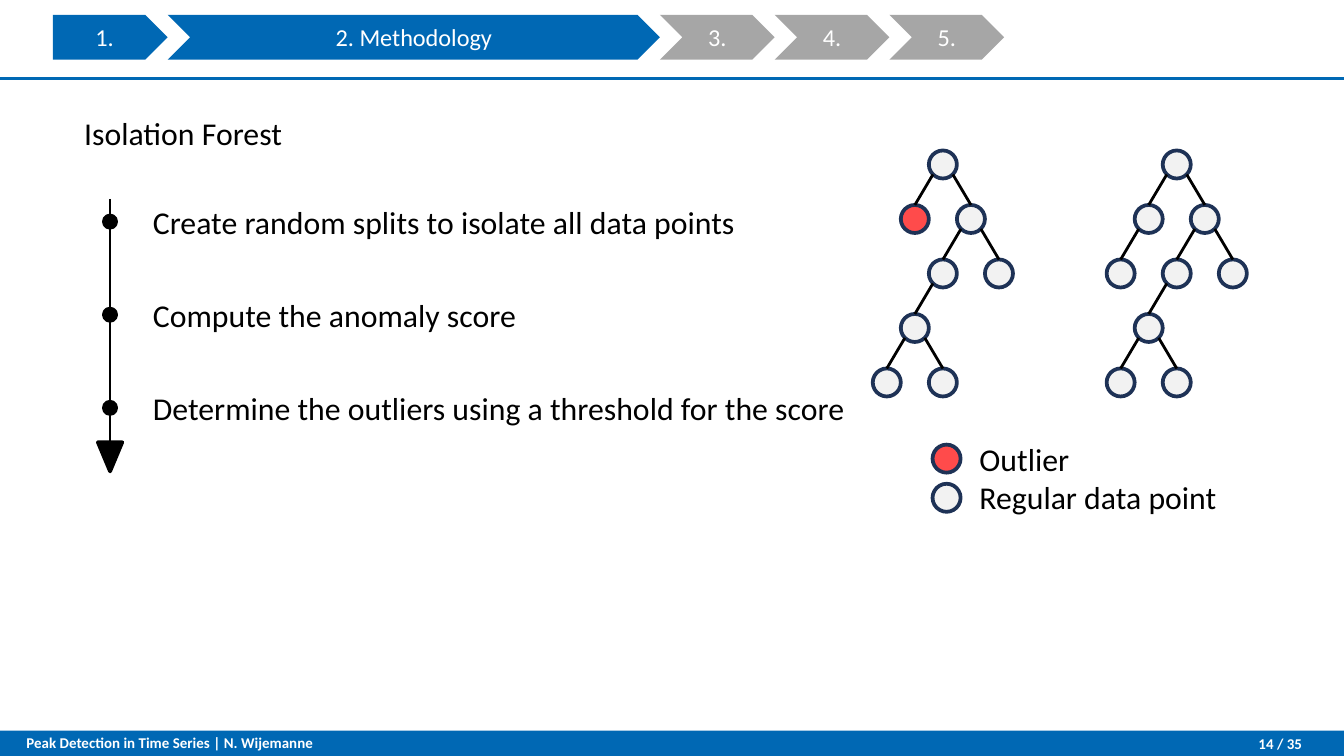
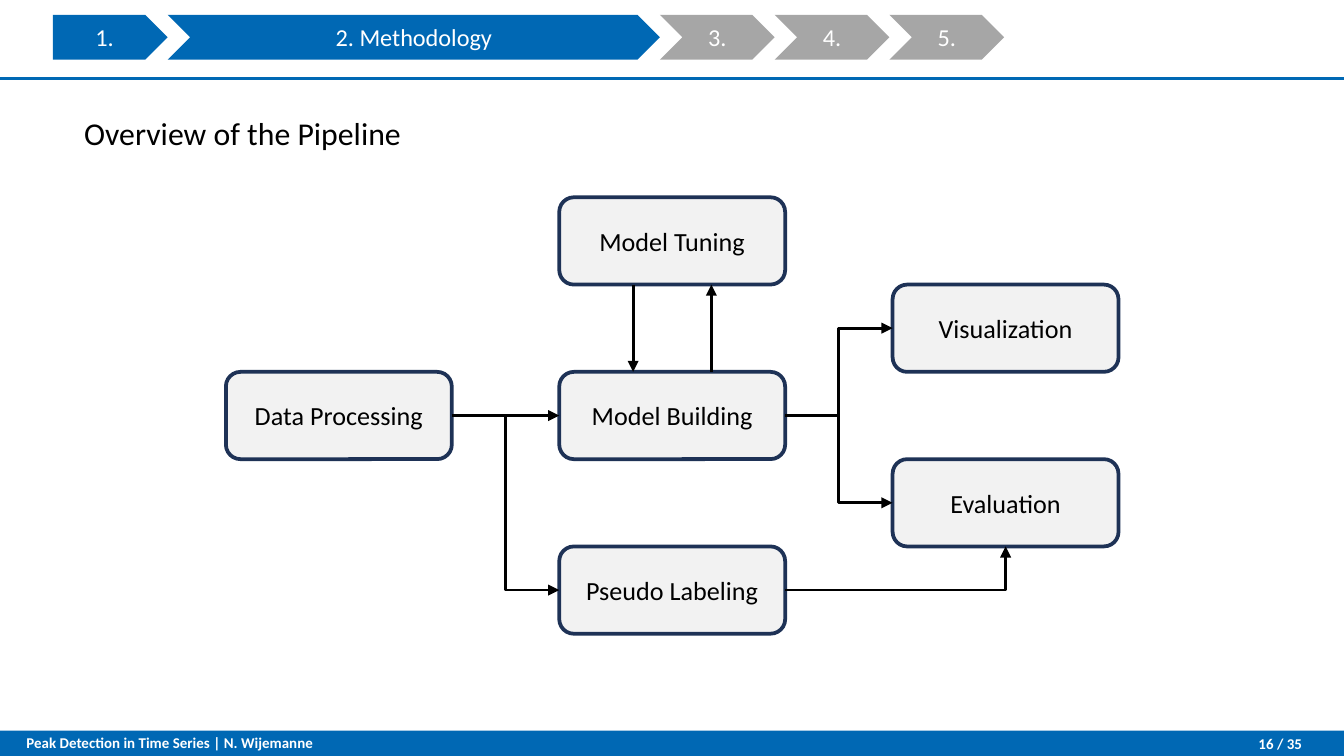
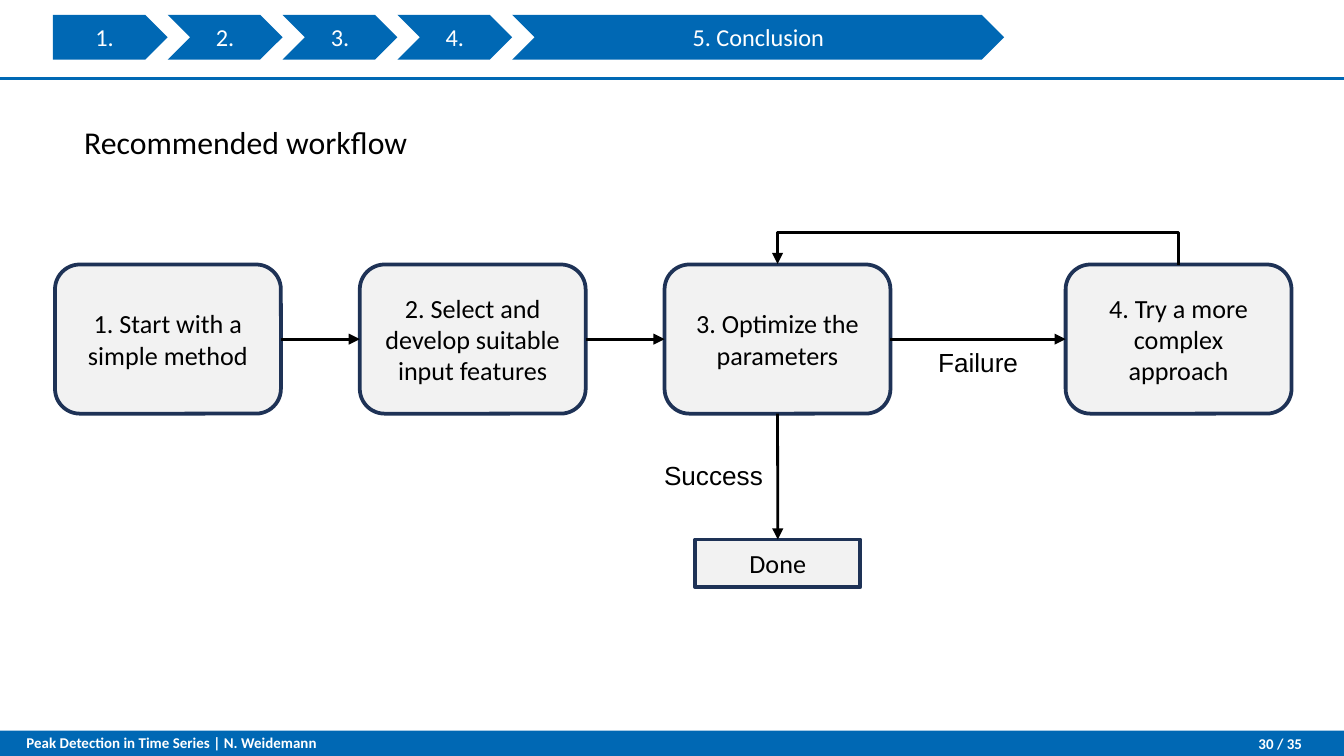
from dataclasses import dataclass

from lxml import etree
from pptx import Presentation
from pptx.dml.color import RGBColor
from pptx.enum.shapes import MSO_CONNECTOR, MSO_SHAPE
from pptx.enum.text import MSO_ANCHOR, MSO_AUTO_SIZE, PP_ALIGN
from pptx.oxml.ns import qn
from pptx.util import Cm, Pt

OVAL, RECTANGLE, ROUNDED = MSO_SHAPE.OVAL, MSO_SHAPE.RECTANGLE, MSO_SHAPE.ROUNDED_RECTANGLE
PENTAGON, CHEVRON = MSO_SHAPE.PENTAGON, MSO_SHAPE.CHEVRON
TRIANGLE = MSO_SHAPE.ISOSCELES_TRIANGLE
STRAIGHT, ELBOW = MSO_CONNECTOR.STRAIGHT, MSO_CONNECTOR.ELBOW
LEFT, CENTER, RIGHT = PP_ALIGN.LEFT, PP_ALIGN.CENTER, PP_ALIGN.RIGHT
TOP_ANCHOR, MIDDLE_ANCHOR = MSO_ANCHOR.TOP, MSO_ANCHOR.MIDDLE
TOP, WEST, BOTTOM, EAST = range(4)  # connection sites of a box


@dataclass(frozen=True)
class Theme:
    blue: str = "0068B4"
    grey: str = "A6A6A6"
    pale: str = "F2F2F2"
    navy: str = "1E3256"
    red: str = "FF4B4B"
    black: str = "000000"
    white: str = "FFFFFF"
    font: str = "Calibri"
    label_font: str = "Arial"
    body_size: float = 17
    box_size: float = 14
    step_size: float = 13
    footer_size: float = 8
    outline: float = 2
    rule: float = 1.5


THEME = Theme()
PAGE_WIDTH, PAGE_HEIGHT = 25.4, 14.29
SECTION_COUNT = 5

# Isolation forest
STEPS = [
    "Create random splits to isolate all data points",
    "Compute the anomaly score",
    "Determine the outliers using a threshold for the score",
]
LEGEND = [("Outlier", THEME.red), ("Regular data point", THEME.pale)]
# Children below the root: (index of parent, side); -1 is left, 1 is right
BRANCHES = [(0, -1), (0, 1), (2, -1), (2, 1), (3, -1), (5, 1), (5, -1)]
TREES = [  # centre of root, branches, indexes of outliers
    (17.82, BRANCHES, {1}),
    (22.24, BRANCHES + [(1, -1)], set()),
]
NODE_SIZE = 0.53

# Pipeline: column and row of each stage, then its links
STAGES = {
    "Data Processing": (0, 2),
    "Model Building": (1, 2),
    "Model Tuning": (1, 0),
    "Visualization": (2, 1),
    "Evaluation": (2, 3),
    "Pseudo Labeling": (1, 4),
}
STAGE_LINKS = [
    ("Data Processing", EAST, "Model Building", WEST, STRAIGHT),
    ("Model Building", EAST, "Visualization", WEST, ELBOW),
    ("Model Building", EAST, "Evaluation", WEST, ELBOW),
    ("Data Processing", EAST, "Pseudo Labeling", WEST, ELBOW),
]
BOX_WIDTH = 4.27

# Workflow: text of each step and the gap before it
WORKFLOW = [
    ("1. Start with a simple method", 0),
    ("2. Select and develop suitable input features", 1.49),
    ("3. Optimize the parameters", 1.49),
    ("4. Try a more complex approach", 3.31),
]
WORKFLOW_LABELS = [("Success", 12.3, 8.56), ("Failure", 17.48, 6.42)]


def color(value):
    return RGBColor.from_string(value)


def write(shape, text, size=THEME.body_size, ink=THEME.black, font=THEME.font, bold=False,
          align=LEFT, anchor=TOP_ANCHOR, spacing=None, insets=None):
    """Fill a shape with text, one paragraph a line; insets are left, top, right, bottom."""
    frame = shape.text_frame
    frame.text = text
    frame.word_wrap = True
    frame.auto_size = MSO_AUTO_SIZE.NONE
    frame.vertical_anchor = anchor
    if insets:
        (frame.margin_left, frame.margin_top,
         frame.margin_right, frame.margin_bottom) = map(Cm, insets)
    for para in frame.paragraphs:
        para.alignment = align
        if spacing:
            para.line_spacing = spacing
        for span in para.runs:
            span.font.name, span.font.size, span.font.bold = font, Pt(size), bold
            span.font.color.rgb = color(ink)


def add_text(page, text, left, top, width, height, **style):
    box = page.shapes.add_textbox(Cm(left), Cm(top), Cm(width), Cm(height))
    write(box, text, **style)


def add_shape(shapes, kind, left, top, width, height, fill, line=None):
    shape = shapes.add_shape(kind, Cm(left), Cm(top), Cm(width), Cm(height))
    shape.shadow.inherit = False
    shape.fill.solid()
    shape.fill.fore_color.rgb = color(fill)
    if line:
        shape.line.color.rgb = color(line)
        shape.line.width = Pt(THEME.outline)
    else:
        shape.line.fill.background()
    return shape


def add_dot(shapes, x, y, size, fill, line):
    return add_shape(shapes, OVAL, x - size / 2, y - size / 2, size, size, fill, line)


def add_box(page, text, left, top, width, height, kind=ROUNDED):
    box = add_shape(page.shapes, kind, left, top, width, height, THEME.pale, THEME.navy)
    write(box, text, size=THEME.box_size, align=CENTER, anchor=MIDDLE_ANCHOR)
    return box


def add_line(shapes, start, end, ink=THEME.black, arrow=False, kind=STRAIGHT):
    line = shapes.add_connector(kind, *map(Cm, start + end))
    line.line.color.rgb = color(ink)
    line.line.width = Pt(THEME.rule)
    properties = line.element.spPr
    if arrow:
        etree.SubElement(properties.find(qn("a:ln")), qn("a:tailEnd"), type="triangle")
    etree.SubElement(properties, qn("a:effectLst"))
    return line


def link(page, source, source_site, target, target_site, kind=STRAIGHT):
    """Glue an arrow to a site of each of two boxes."""
    arrow = add_line(page.shapes, (0, 0), (1, 1), arrow=True, kind=kind)
    arrow.begin_connect(source, source_site)
    arrow.end_connect(target, target_site)
    return arrow


def link_around_corner(page, source, target):
    """Leave a box to the right and enter another from below."""
    arrow = link(page, source, EAST, target, BOTTOM, ELBOW)
    arrow.element.spPr.find(qn("a:prstGeom")).set("prst", "bentConnector2")


def link_back(page, source, target, rise):
    """Loop from the top of a box back to the top of one on its left."""
    arrow = link(page, source, TOP, target, TOP, ELBOW)
    thickness, span = 0.02, arrow.begin_x - arrow.end_x
    middle, top = (arrow.begin_x + arrow.end_x) // 2, arrow.begin_y
    # The frame stands upright around its centre and is turned by 270 degrees
    arrow.left, arrow.top = middle - Cm(thickness) // 2, top - span // 2
    arrow.width, arrow.height = Cm(thickness), span
    frame = arrow.element.spPr.find(qn("a:xfrm"))
    frame.attrib.pop("flipH", None)
    frame.set("rot", str(270 * 60000))
    frame.set("flipV", "1")
    guides = arrow.element.spPr.find(qn("a:prstGeom")).find(qn("a:avLst"))
    etree.SubElement(guides, qn("a:gd"), name="adj1", fmla=f"val {round(rise / thickness * 100000)}")


def add_section_bar(page, current, title):
    bar = page.shapes.add_group_shape()
    left = 1.0
    for number in range(1, SECTION_COUNT + 1):
        active = number == current
        width = 9.3 if active else 2.17
        step = add_shape(bar.shapes, PENTAGON if number == 1 else CHEVRON, left, 0.28, width, 0.85,
                         THEME.blue if number <= current else THEME.grey)
        write(step, f"{number}. {title}" if active else f"{number}.", size=THEME.step_size,
              ink=THEME.white, align=CENTER, anchor=MIDDLE_ANCHOR)
        left += width


def add_page(deck, heading, section, number, author="N. Wijemanne", spacing=0.95):
    page = deck.slides.add_slide(deck.slide_layouts.get_by_name("Title Only"))
    title = page.shapes.title
    title.left, title.top, title.width, title.height = map(Cm, (1, 2.08, 23.4, 10.1))
    write(title, heading, spacing=spacing, insets=(0.59, 0.13, 0.25, 0.13))
    add_section_bar(page, *section)
    footer = {"size": THEME.footer_size, "ink": THEME.white, "bold": True}
    add_text(page, f"Peak Detection in Time Series | {author}", 0.25, 13.61, 11.02, 0.86,
             insets=(0.25, 0.25, 0.25, 0.25), **footer)
    add_text(page, f"{number} / 35", 22.22, 13.82, 2.39, 0.48, align=RIGHT,
             anchor=MIDDLE_ANCHOR, insets=(0.25, 0.13, 0, 0.13), **footer)
    return page


def move_frame_to_layout(page):
    """Draw the footer band and header rule, and hand them to the shared layout."""
    band = add_shape(page.shapes, RECTANGLE, 0, 13.81, PAGE_WIDTH, 0.48, THEME.blue)
    rule = add_line(page.shapes, (PAGE_WIDTH, 1.49), (0, 1.49), ink=THEME.blue)
    for part in (band, rule):
        page.slide_layout.shapes.element.append(part.element)


def add_tree(page, root_x, branches, outliers):
    root_y, column_step, level_step = 3.11, 0.53, 1.03
    centers = [(root_x, root_y)]
    for parent, side in branches:
        x, y = centers[parent]
        centers.append((x + side * column_step, y + level_step))
    for index, (x, y) in enumerate(centers):
        add_dot(page.shapes, x, y, NODE_SIZE, THEME.red if index in outliers else THEME.pale,
                THEME.navy)
    radius = NODE_SIZE / 2
    diagonal = radius * 0.71
    for (parent, side), (child_x, child_y) in zip(branches, centers[1:]):
        x, y = centers[parent]
        add_line(page.shapes, (x + side * diagonal, y + diagonal), (child_x, child_y - radius))


def add_timeline(page):
    x, first_y, pitch, line_end = 2.08, 4.19, 1.76, 8.36
    axis = page.shapes.add_group_shape().shapes
    add_line(axis, (x, 3.76), (x, line_end))
    tip = add_shape(axis, TRIANGLE, x - 0.23, line_end, 0.46, 0.55, THEME.black, THEME.black)
    tip.rotation = 180
    for index, step in enumerate(STEPS):
        y = first_y + index * pitch
        add_dot(axis, x, y, 0.23, THEME.black, THEME.black)
        add_text(page, step, 2.64, y - 0.48, 21.77, 1)


def add_legend(page):
    for index, (_, fill) in enumerate(LEGEND):
        add_dot(page.shapes, 17.89, 8.67 + index * 0.74, NODE_SIZE, fill, THEME.navy)
    add_text(page, "\n".join(name for name, _ in LEGEND), 18.26, 8.18, 6.12, 1.7)


def add_pipeline(page):
    left, top, column_step, height = 4.27, 3.73, 6.3, 1.65
    boxes = {
        name: add_box(page, name, left + column * column_step, top + row * height,
                      BOX_WIDTH, height)
        for name, (column, row) in STAGES.items()
    }
    for source, source_site, target, target_site, kind in STAGE_LINKS:
        link(page, boxes[source], source_site, boxes[target], target_site, kind)
    link_around_corner(page, boxes["Pseudo Labeling"], boxes["Evaluation"])
    middle = left + column_step + BOX_WIDTH / 2
    upper, lower = top + height, top + 2 * height
    for x, start, end in ((middle - 0.74, upper, lower), (middle + 0.74, lower, upper)):
        add_line(page.shapes, (x, start), (x, end), arrow=True)


def add_workflow(page):
    left, boxes = 1.04, []
    for text, gap in WORKFLOW:
        left += gap
        boxes.append(add_box(page, text, left, 5, BOX_WIDTH, 2.82))
        left += BOX_WIDTH
    for source, target in zip(boxes, boxes[1:]):
        link(page, source, EAST, target, WEST)
    optimize, retry = boxes[2:]
    done = add_box(page, "Done", 13.14, 10.2, 3.12, 0.9, kind=RECTANGLE)
    link(page, optimize, BOTTOM, done, TOP)
    link_back(page, retry, optimize, rise=0.62)
    for text, x, y in WORKFLOW_LABELS:
        add_text(page, text, x, y, 2.5, 0.86, size=THEME.box_size, font=THEME.label_font)


def main():
    deck = Presentation()
    deck.slide_width, deck.slide_height = Cm(PAGE_WIDTH), Cm(PAGE_HEIGHT)

    forest = add_page(deck, "Isolation Forest", (2, "Methodology"), 14)
    move_frame_to_layout(forest)
    for tree in TREES:
        add_tree(forest, *tree)
    add_legend(forest)
    add_timeline(forest)

    add_pipeline(add_page(deck, "Overview of the Pipeline", (2, "Methodology"), 16))

    add_workflow(add_page(deck, "Recommended workflow", (5, "Conclusion"), 30,
                          author="N. Weidemann", spacing=1.15))
    deck.save("out.pptx")


if __name__ == "__main__":
    main()
